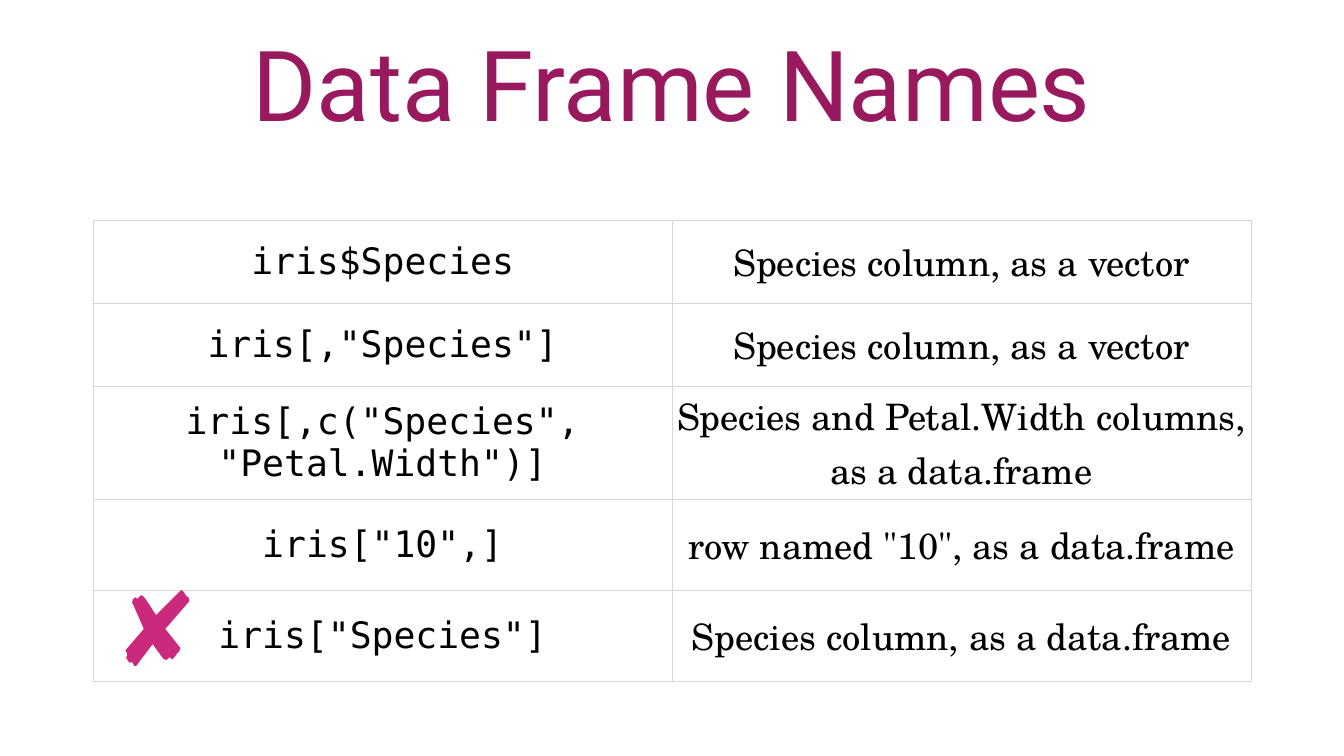
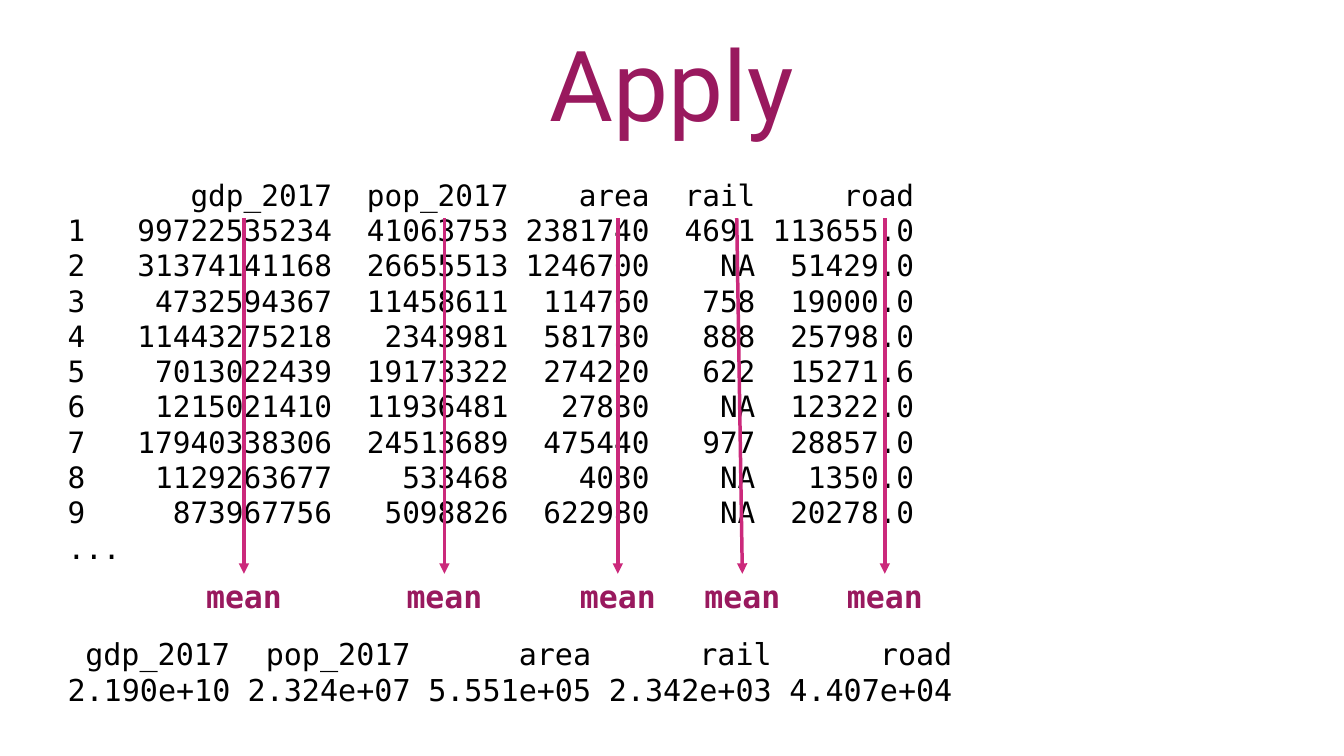
from dataclasses import dataclass

from lxml.etree import SubElement
from pptx import Presentation
from pptx.dml.color import RGBColor
from pptx.enum.shapes import MSO_CONNECTOR as Connector
from pptx.enum.text import MSO_ANCHOR as Anchor, MSO_AUTO_SIZE as AutoSize, PP_ALIGN as Align
from pptx.oxml.ns import qn
from pptx.util import Inches, Pt

PLUM, PINK, BLACK, RULE = "99195E", "CB297B", "000000", "D6D6D6"
SANS, MONO, SERIF = "Roboto", "DejaVu Sans Mono", "TeX Gyre Schola"
INSET = Inches(0.06)
MONO_ADVANCE = 0.6

LOOKUPS = [
    ("iris$Species", "Species column, as a vector", 1.65),
    ('iris[,"Species"]', "Species column, as a vector", 1.65),
    ('iris[,c("Species", "Petal.Width")]', "Species and Petal.Width columns, as a data.frame", 2.05),
    ('iris["10",]', 'row named "10", as a data.frame', 1.81),
    ('iris["Species"]', "Species column, as a data.frame", 1.81),
]
CROSS = [
    (110, 0), (106, 3), (63, 46), (60, 49), (58, 46), (41, 20), (34, 11), (30, 10), (27, 13),
    (23, 17), (19, 14), (14, 19), (13, 24), (35, 74), (36, 76), (0, 118), (3, 125), (3, 129),
    (1, 133), (8, 143), (12, 141), (14, 143), (17, 149), (21, 149), (51, 109), (54, 106),
    (56, 110), (75, 136), (81, 137), (86, 132), (92, 136), (95, 133), (98, 129), (101, 125),
    (105, 121), (108, 114), (78, 76), (81, 73), (120, 28), (125, 22), (124, 14), (121, 13),
    (117, 8), (116, 6), (113, 2),
]
COUNTRIES = """gdp_2017 pop_2017 area rail road
99722535234 41063753 2381740 4691 113655.0
31374141168 26655513 1246700 NA 51429.0
4732594367 11458611 114760 758 19000.0
11443275218 2343981 581730 888 25798.0
7013022439 19173322 274220 622 15271.6
1215021410 11936481 27830 NA 12322.0
17940338306 24513689 475440 977 28857.0
1129263677 533468 4030 NA 1350.0
873967756 5098826 622980 NA 20278.0"""
MEANS = "2.190e+10 2.324e+07 5.551e+05 2.342e+03 4.407e+04"
COUNTRY_STOPS = (15, 25, 33, 39, 48)
MEAN_STOPS = (9, 19, 29, 39, 49)
ARROWS = [(14.77, 14.77), (31.27, 31.27), (45.54, 45.54), (55.33, 55.79), (67.52, 67.52)]


@dataclass
class Box:
    """A rectangle whose insides are given as percentages of its size."""
    left: int
    top: int
    width: int
    height: int

    def x(self, share):
        """Return the horizontal position at a share of the width."""
        return round(self.left + self.width * share / 100)

    def y(self, share):
        """Return the vertical position at a share of the height."""
        return round(self.top + self.height * share / 100)

    def inner(self, left, top, width, height):
        """Return a smaller box inside this one."""
        return Box(self.x(left), self.y(top),
                   round(self.width * width / 100), round(self.height * height / 100))

    def bounds(self):
        """Return left, top, width and height."""
        return self.left, self.top, self.width, self.height


def color(value):
    """Turn a hex string into a colour."""
    return RGBColor.from_string(value)


def add_run(paragraph, text, size, face, ink=BLACK, bold=False):
    """Add one formatted run to a paragraph."""
    run = paragraph.add_run()
    run.text = text
    run.font.size, run.font.name, run.font.bold = Pt(size), face, bold
    run.font.color.rgb = color(ink)


def set_margins(owner):
    """Give a cell or text frame the shared inset."""
    owner.margin_left = owner.margin_right = owner.margin_top = owner.margin_bottom = INSET


def add_title_slide(deck, page, title):
    """Add a slide with its styled title."""
    slide = deck.slides.add_slide(deck.slide_layouts[5])
    heading = slide.shapes.title
    heading.left, heading.top, heading.width, heading.height = page.inner(6.94, 2.6, 86.13, 16.67).bounds()
    frame = heading.text_frame
    set_margins(frame)
    frame.vertical_anchor, frame.auto_size = Anchor.MIDDLE, AutoSize.NONE
    frame.paragraphs[0].alignment = Align.CENTER
    add_run(frame.paragraphs[0], title, 140, SANS, PLUM)
    return slide


def rule_cell(cell):
    """Draw thin grey borders on all sides of a cell."""
    properties = cell._tc.get_or_add_tcPr()
    for position, side in enumerate(("lnL", "lnR", "lnT", "lnB")):
        border = properties.makeelement(qn(f"a:{side}"), {"w": str(Pt(1))})
        SubElement(SubElement(border, qn("a:solidFill")), qn("a:srgbClr"), val=RULE)
        properties.insert(position, border)


def add_lookup_table(slide, box):
    """Place the expressions beside what they return."""
    table = slide.shapes.add_table(len(LOOKUPS), 2, *box.bounds()).table
    table.first_row = table.horz_banding = False
    total = sum(weight for _, _, weight in LOOKUPS)
    for row, (code, meaning, weight) in zip(table.rows, LOOKUPS):
        row.height = round(box.height * weight / total)
        for cell, text, face in zip(row.cells, (code, meaning), (MONO, SERIF)):
            cell.fill.background()
            cell.vertical_anchor = Anchor.MIDDLE
            set_margins(cell)
            rule_cell(cell)
            paragraph = cell.text_frame.paragraphs[0]
            paragraph.alignment = Align.CENTER
            add_run(paragraph, text, 52, face)


def add_cross(slide, box):
    """Draw the brushed cross that fills the box."""
    scale = box.width / max(x for x, _ in CROSS)
    builder = slide.shapes.build_freeform(*CROSS[0], scale=scale)
    builder.add_line_segments(CROSS[1:], close=True)
    cross = builder.convert_to_shape(box.left, box.top)
    cross.shadow.inherit = False
    cross.fill.solid()
    cross.fill.fore_color.rgb = color(PINK)
    cross.line.fill.background()


def add_console_line(paragraph, text, size, stops):
    """Write a line of output with right-aligned columns."""
    tabs = SubElement(paragraph._p.get_or_add_pPr(), qn("a:tabLst"))
    for stop in stops:
        SubElement(tabs, qn("a:tab"), pos=str(Pt(stop * size * MONO_ADVANCE)), algn="r")
    paragraph.alignment = Align.LEFT
    paragraph.line_spacing = Pt(size * 1.2)
    add_run(paragraph, text, size, MONO)


def add_console(slide, box):
    """Print the country data and the column means below it."""
    frame = slide.shapes.add_textbox(*box.bounds()).text_frame
    frame.word_wrap = True
    set_margins(frame)
    header, *records = [line.split() for line in COUNTRIES.splitlines()]
    lines = [["", *header]]
    lines += [[str(number), *record] for number, record in enumerate(records, 1)]
    lines.append(["..."])
    for number, line in enumerate(lines):
        paragraph = frame.add_paragraph() if number else frame.paragraphs[0]
        add_console_line(paragraph, "\t".join(line), 42, COUNTRY_STOPS)
    names = frame.add_paragraph()
    add_console_line(names, "\t".join(["", *header]), 43, MEAN_STOPS)
    names.space_before = Pt(101)
    add_console_line(frame.add_paragraph(), "\t".join(MEANS.split()), 43, MEAN_STOPS)


def add_mean_arrow(slide, box, start, end):
    """Point an arrow down a column at its mean label."""
    width = 6.76
    label = slide.shapes.add_textbox(*box.inner(end - width / 2, 68.7, width, 7.45).bounds())
    frame = label.text_frame
    set_margins(frame)
    frame.word_wrap, frame.auto_size = False, AutoSize.SHAPE_TO_FIT_TEXT
    frame.vertical_anchor = Anchor.MIDDLE
    frame.paragraphs[0].alignment = Align.CENTER
    add_run(frame.paragraphs[0], "mean", 45, MONO, PLUM, True)
    arrow = slide.shapes.add_connector(
        Connector.STRAIGHT, box.x(start), box.y(7.62), box.x(end), label.top)
    arrow.end_connect(label, 0)
    arrow.line.width = Pt(5)
    arrow.line.color.rgb = color(PINK)
    SubElement(arrow.line._get_or_add_ln(), qn("a:tailEnd"), type="triangle")
    SubElement(arrow._element.spPr, qn("a:effectLst"))


def build_names_slide(deck, page):
    """Build the slide on data frame names."""
    slide = add_title_slide(deck, page, "Data Frame Names")
    box = page.inner(6.94, 29.13, 86.13, 59.8)
    add_lookup_table(slide, box)
    add_cross(slide, box.inner(2.79, 81.83, 5.49, 16.61))


def build_apply_slide(deck, page):
    """Build the slide on applying a function to columns."""
    slide = add_title_slide(deck, page, "Apply")
    box = page.inner(4.8, 23, 90.4, 77)
    add_console(slide, box)
    for start, end in ARROWS:
        add_mean_arrow(slide, box, start, end)


def main():
    """Build and save the deck."""
    deck = Presentation()
    deck.slide_width, deck.slide_height = Inches(26.67), Inches(15)
    page = Box(0, 0, deck.slide_width, deck.slide_height)
    build_names_slide(deck, page)
    build_apply_slide(deck, page)
    deck.save("out.pptx")


if __name__ == "__main__":
    main()
